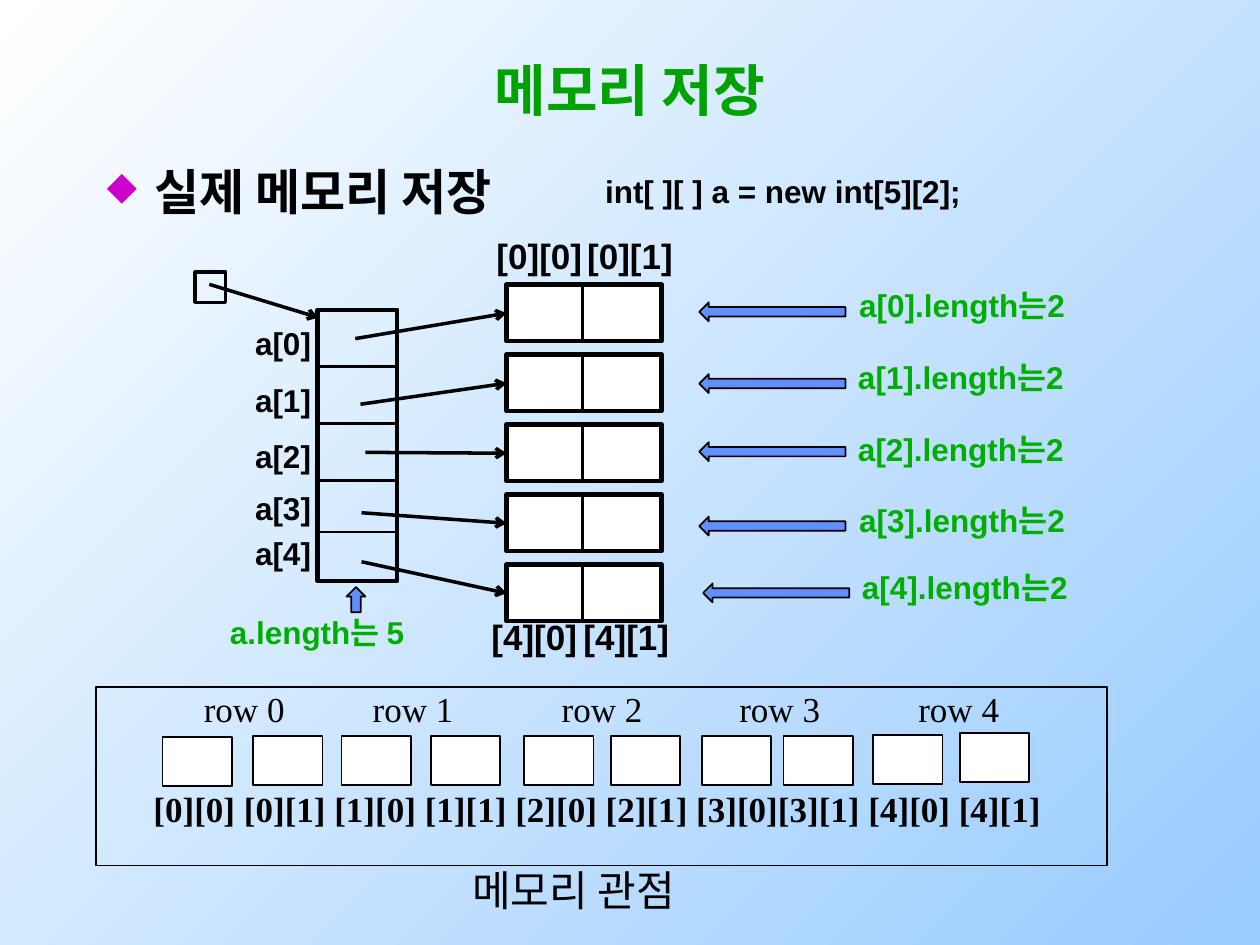
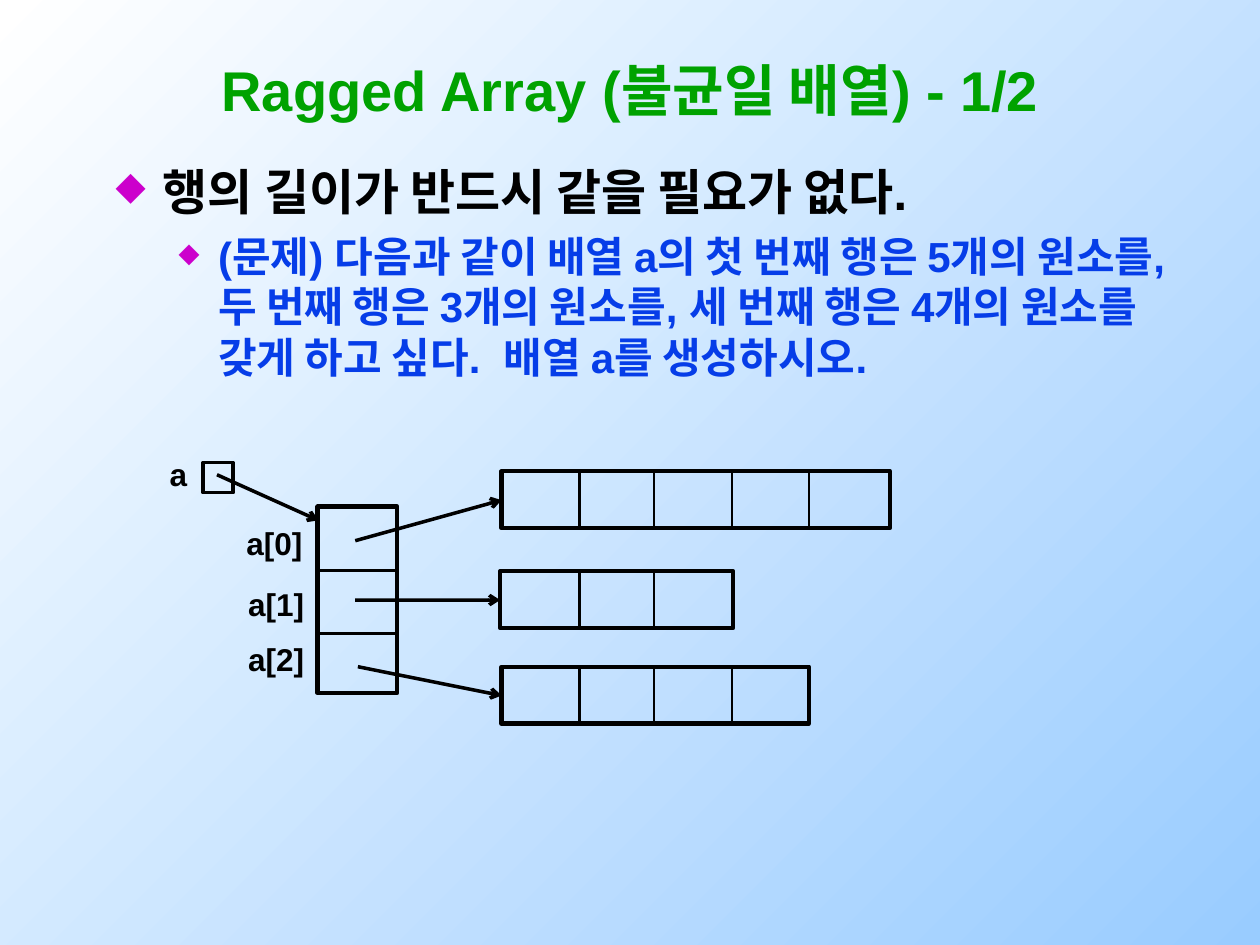
from lxml.etree import SubElement
from pptx import Presentation
from pptx.dml.color import RGBColor
from pptx.enum.shapes import MSO_CONNECTOR, MSO_SHAPE
from pptx.enum.text import MSO_ANCHOR, MSO_AUTO_SIZE, PP_ALIGN
from pptx.oxml.ns import qn
from pptx.util import Pt

BLACK, WHITE, GREEN, BLUE = "000000", "FFFFFF", "00AE00", "618FFD"
NO_TABLE_STYLE = "{2D5ABB26-0587-4C30-8999-92F81FD0307C}"

# Text styles: font name, size, bold and colour
TITLE = dict(name="Arial", size=Pt(32), bold=True, color="00A200")
POINT = dict(name="Arial", size=Pt(28), bold=True, color=BLACK)
SUBPOINT = dict(POINT, size=Pt(24), color="063DE8")
LABEL = dict(POINT, size=Pt(18))
LENGTH = dict(LABEL, color=GREEN)
INDEX = dict(POINT, size=Pt(20))
ROW = dict(name="Times New Roman", size=Pt(20), bold=False, color=BLACK)
ROW_INDEX = dict(ROW, bold=True)
VIEW = dict(ROW, size=Pt(24))

# Bullet levels: left margin, hanging indent, space before, bullet size in percent
LEVELS = [(27, 27, 7, 80), (58.5, 22.5, 6, 65)]


def rgb(color):
    return RGBColor.from_string(color)


def write(p, text, style, align=None, before=0):
    p.alignment = align
    p.space_before = Pt(before)
    r = p.add_run()
    r.text = text
    for key, value in style.items():
        if key == "color":
            r.font.color.rgb = rgb(value)
        else:
            setattr(r.font, key, value)


class Deck:
    def __init__(self):
        self.prs = Presentation()
        self.prs.slide_width, self.prs.slide_height = Pt(720), Pt(540)
        self.s = None
        # Background shared by all slides
        fill = self.prs.slide_master.background.fill
        fill.gradient()
        fill.gradient_angle = 315
        for stop, color in zip(fill.gradient_stops, (WHITE, "99CCFF")):
            stop.color.rgb = rgb(color)

    def slide(self, title):
        self.s = self.prs.slides.add_slide(self.prs.slide_layouts[5])
        sp = self.s.shapes.title
        place = dict(left=54, top=24, width=612, height=54)
        for key, value in place.items():
            setattr(sp, key, Pt(value))
        sp.text_frame.vertical_anchor = MSO_ANCHOR.MIDDLE
        write(sp.text_frame.paragraphs[0], title, TITLE, PP_ALIGN.CENTER)

    def frame(self, x, y, w, h):
        tf = self.s.shapes.add_textbox(Pt(x), Pt(y), Pt(w), Pt(h)).text_frame
        tf.word_wrap = True
        return tf

    def label(self, text, x, y, w=47.5, h=25, style=LABEL):
        p = self.frame(x, y, w, h).paragraphs[0]
        write(p, text, style, PP_ALIGN.CENTER, 4.5)

    def line_of_text(self, text, x, y, w, h, style):
        tf = self.frame(x, y, w, h)
        tf.word_wrap = False
        tf.auto_size = MSO_AUTO_SIZE.SHAPE_TO_FIT_TEXT
        write(tf.paragraphs[0], text, style)

    def bullets(self, x, y, w, h, *items):
        tf = self.frame(x, y, w, h)
        for i, (level, text, style) in enumerate(items):
            p = tf.add_paragraph() if i else tf.paragraphs[0]
            margin, hang, before, percent = LEVELS[level]
            write(p, text, style, before=before)
            p.level = level
            pPr = p._p.get_or_add_pPr()
            pPr.set("marL", str(Pt(margin)))
            pPr.set("indent", str(-Pt(hang)))
            color = SubElement(pPr, qn("a:buClr"))
            SubElement(color, qn("a:srgbClr"), val="CC00CC")
            SubElement(pPr, qn("a:buSzPct"), val=str(percent * 1000))
            SubElement(pPr, qn("a:buChar"), char="◆")

    def shape(self, x, y, w, h, fill=None, width=1, kind=MSO_SHAPE.RECTANGLE):
        sp = self.s.shapes.add_shape(kind, Pt(x), Pt(y), Pt(w), Pt(h))
        sp.shadow.inherit = False
        if fill:
            sp.fill.solid()
            sp.fill.fore_color.rgb = rgb(fill)
        else:
            sp.fill.background()
        sp.line.color.rgb = rgb(BLACK)
        sp.line.width = Pt(width)

    def line(self, x1, y1, x2, y2, width=1.5, arrow=False):
        c = self.s.shapes.add_connector(
            MSO_CONNECTOR.STRAIGHT, Pt(x1), Pt(y1), Pt(x2), Pt(y2))
        c.line.color.rgb = rgb(BLACK)
        c.line.width = Pt(width)
        if arrow:
            SubElement(c.line._get_or_add_ln(), qn("a:tailEnd"), type="arrow")
        SubElement(c._element.spPr, qn("a:effectLst"))

    def arrow(self, *ends):
        self.line(*ends, width=2, arrow=True)

    def row(self, x, y, w, dividers, fill=None, h=32.5):
        self.shape(x, y, w, h, fill, 2.5)
        for at in dividers:
            self.line(at, y, at, y + h)

    def column(self, y, h, dividers, x=181.5, w=45.5):
        self.shape(x, y, w, h, width=2.5)
        for at in dividers:
            self.line(x, at, x + w, at)

    def reference(self, x, y, end_y):
        self.shape(x, y, 17.3, 17.3, width=2)
        self.arrow(x + 8, y + 7, 182, end_y)

    def table(self, text, x, y, w=73.5, h=36):
        t = self.s.shapes.add_table(1, 1, Pt(x), Pt(y), Pt(w), Pt(h)).table
        t.first_row = t.horz_banding = False
        t._tbl.tblPr.find(qn("a:tableStyleId")).text = NO_TABLE_STYLE
        cell = t.cell(0, 0)
        cell.fill.background()
        write(cell.text_frame.paragraphs[0], text, INDEX, before=5)


def memory_slide(d):
    d.slide("메모리 저장")
    d.bullets(54, 88.5, 635, 445, (0, "실제 메모리 저장", POINT))
    d.label("int[ ][ ] a = new int[5][2];", 333.5, 94.5, 228, 29.5)

    # Array of references
    d.column(177, 155, (209.5, 242, 274.5, 304))
    d.reference(111.6, 155.5, 181.5)
    d.shape(198, 335.5, 10.8, 14.4, BLUE, kind=MSO_SHAPE.UP_ARROW)
    d.label("a.length는 5", 104.4, 347, 153.5, 26.5, LENGTH)

    # One row per reference: label y, arrow start, length label, block arrow
    rows = [(181.5, 203, 193.5, 473, 160, 399.6, 172.8),
            (214, 206, 231, 472.3, 201, 399.6, 213.8),
            (246, 208.8, 258.5, 472.3, 242, 399.6, 252.7),
            (276, 206.6, 293, 473, 283, 399.6, 295.2),
            (301.5, 206.6, 321, 474.5, 321, 401.8, 333.4)]
    for i, (label_y, x, y, length_x, length_y, block_x, block_y) in enumerate(rows):
        top = 162.5 + 40 * i
        d.row(289.5, top, 88.5, [332.75], WHITE)
        d.arrow(x, y, 289.5, top + 16.5)
        d.label(f"a[{i}]", 138, label_y)
        d.label(f"a[{i}].length는2", length_x, length_y, 153.5, 26.5, LENGTH)
        d.shape(block_x, block_y, 83.5, 10.8, BLUE, kind=MSO_SHAPE.LEFT_ARROW)

    # Element indexes above and below the rows
    for text, x, y in [("[0][0]", 276.5, 132.5), ("[0][1]", 328.3, 132.5),
                       ("[4][0]", 273.6, 350), ("[4][1]", 326.2, 350)]:
        d.table(text, x, y)

    # Memory view
    d.shape(54.7, 392.4, 578, 102.2)
    cells = [(92.9, 421), (144.7, 420.5), (195.1, 420.5), (246.2, 420.5),
             (299.5, 420.5), (349.2, 420.5), (401, 420.5), (447.8, 420.5),
             (499, 420), (548.6, 419)]
    for x, y in cells:
        d.shape(x, y, 39.6, 28, WHITE)
    for i, x in enumerate((109.4, 205.9, 313.9, 415.4, 517.7)):
        d.line_of_text(f"row {i}", x, 389.5, 60.5, 31.7, ROW)
    d.line_of_text(
        "[0][0] [0][1] [1][0] [1][1] [2][0] [2][1] [3][0][3][1] [4][0] [4][1]",
        80.6, 446.4, 522, 31.7, ROW_INDEX)
    d.line_of_text("메모리 관점", 262.8, 490.3, 131, 36, VIEW)


def ragged_slide(d):
    d.slide("Ragged Array (불균일 배열) - 1/2")
    d.bullets(59, 88.5, 617.8, 432,
              (0, "행의 길이가 반드시 같을 필요가 없다.", POINT),
              (1, "(문제) 다음과 같이 배열 a의 첫 번째 행은 5개의 원소를, "
                  "두 번째 행은 3개의 원소를, 세 번째 행은 4개의 원소를 "
                  "갖게 하고 싶다.  배열 a를 생성하시오.", SUBPOINT))

    # Array of references
    d.label("a", 88, 256.3, 28)
    d.column(289.5, 106.5, (326, 362))
    d.reference(116, 264.3, 297.4)

    # Rows of different length: label, arrow start, row box, number of cells
    dividers = (331, 373.7, 418.3, 462.2)
    rows = [(133, 296, 203, 309, 286.6, 269.3, 221.8, 5),
            (134, 330.5, 203, 343, 285.8, 326.4, 133.2, 3),
            (134, 362, 204.5, 381, 286.6, 381, 175.7, 4)]
    for i, (label_x, label_y, x, y, left, top, width, count) in enumerate(rows):
        d.label(f"a[{i}]", label_x, label_y)
        d.row(left, top, width, dividers[:count - 1])
        d.arrow(x, y, left, top + 16.5)


def main():
    d = Deck()
    memory_slide(d)
    ragged_slide(d)
    d.prs.save("out.pptx")


if __name__ == "__main__":
    main()
